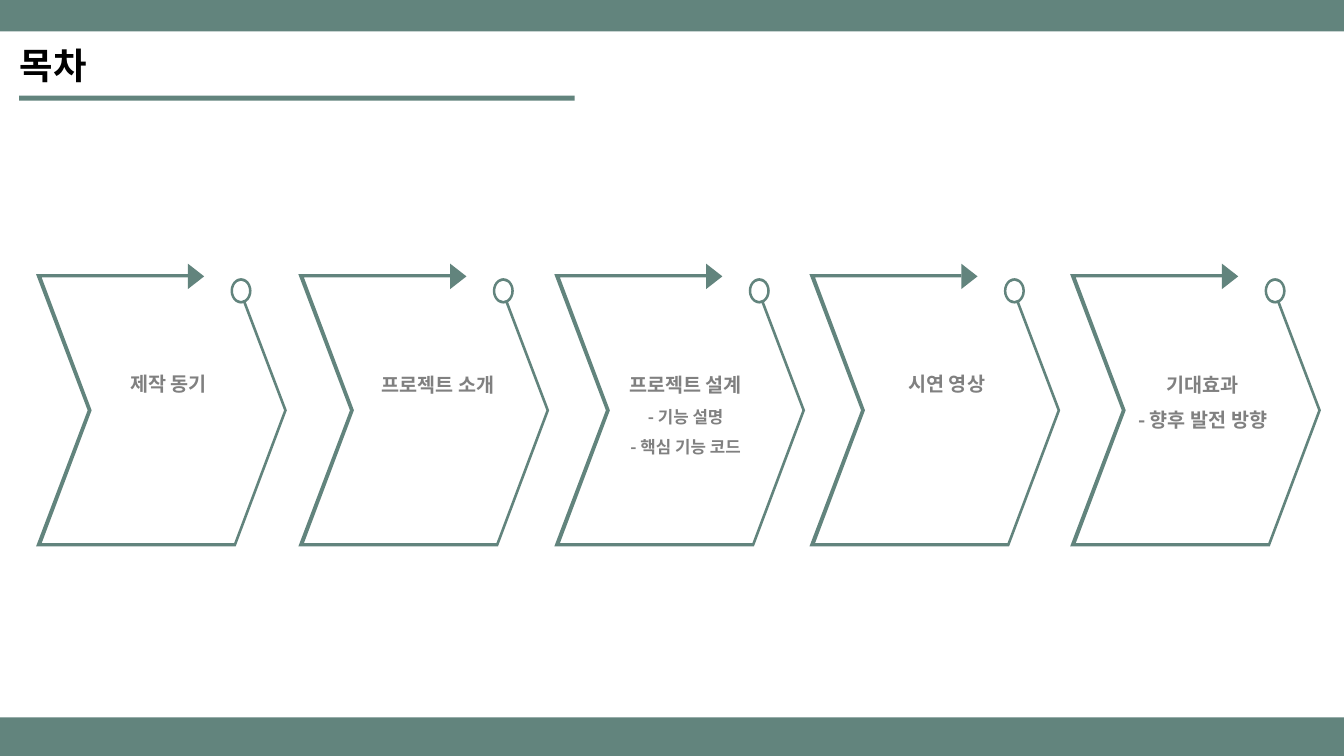
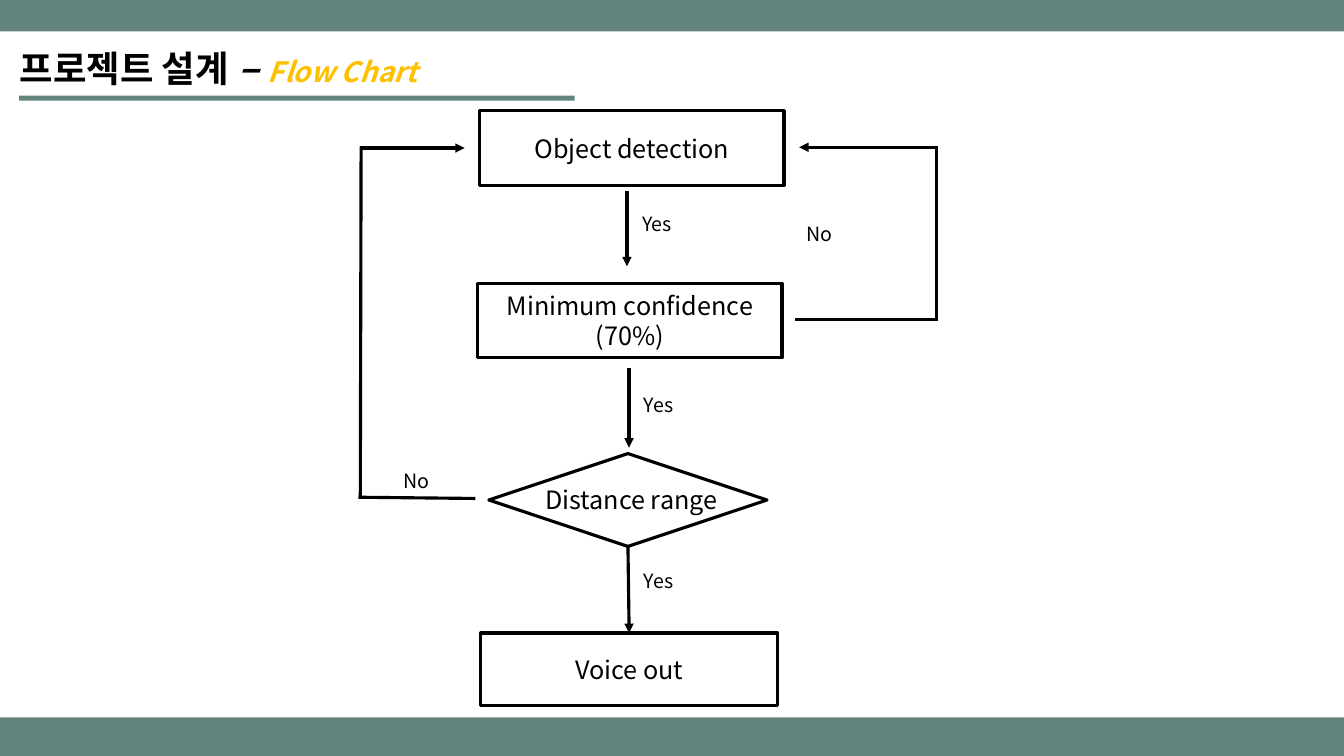
from dataclasses import dataclass
from itertools import pairwise
from typing import Any, NamedTuple

from lxml.etree import SubElement
from pptx import Presentation
from pptx.dml.color import RGBColor
from pptx.enum.shapes import MSO_CONNECTOR, MSO_SHAPE
from pptx.enum.text import MSO_ANCHOR, MSO_AUTO_SIZE, PP_ALIGN
from pptx.oxml.ns import qn
from pptx.util import Cm, Pt


@dataclass(frozen=True)
class Theme:
    font: str = "Noto Sans CJK KR"
    green: RGBColor = RGBColor(0x62, 0x84, 0x7D)
    gray: RGBColor = RGBColor(0x80, 0x80, 0x80)
    black: RGBColor = RGBColor(0, 0, 0)
    amber: RGBColor = RGBColor(0xFF, 0xC0, 0)
    title: int = 26
    dash: int = 28
    subtitle: int = 20
    node: int = 18
    label: int = 14
    detail: int = 12
    line: float = 2.25


class Step(NamedTuple):
    left: float
    text_left: float
    text_top: float
    heading: str
    details: tuple[str, ...] = ()
    detail_size: int = 14


class Node(NamedTuple):
    left: float
    top: float
    width: float
    height: float
    lines: tuple[str, ...] = ()
    kind: MSO_SHAPE = MSO_SHAPE.RECTANGLE


class Label(NamedTuple):
    left: float
    top: float
    text: str
    size: int = 14


T = Theme()
WIDTH, HEIGHT = 33.87, 19.05
STEP_TOP = 6.91
STEP_OUTLINE = (
    (0, 0), (3.83, 0), (3.83, 0.08), (0.14, 0.08), (1.4, 3.43),
    (0.14, 6.78), (4.99, 6.78), (6.25, 3.43), (5.21, 0.69), (5.28, 0.69),
    (6.32, 3.43), (5.03, 6.86), (0, 6.86), (1.3, 3.43),
)
STEPS = (
    Step(0.91, 2.13, 8.94, "제작 동기"),
    Step(7.52, 8.92, 8.97, "프로젝트 소개"),
    Step(13.97, 15.16, 8.97, "프로젝트 설계",
         ("- 기능 설명", "- 핵심 기능 코드"), T.detail),
    Step(20.4, 21.74, 8.94, "시연 영상"),
    Step(26.97, 28.19, 8.97, "기대효과", ("- 향후 발전 방향",)),
)
DETECTION = Node(12.09, 2.79, 7.67, 1.88, ("Object detection",))
CONFIDENCE = Node(12.04, 7.14, 7.67, 1.88, ("Minimum confidence", "(70%)"))
DISTANCE = Node(12.32, 11.43, 7.01, 2.34, kind=MSO_SHAPE.DIAMOND)
VOICE = Node(12.12, 15.95, 7.47, 1.83, ("Voice out",))
LABELS = (
    Label(13.49, 12.07, "Distance range", T.node),
    Label(15.93, 5.21, "Yes"),
    Label(15.98, 9.78, "Yes"),
    Label(15.98, 14.22, "Yes"),
    Label(20.07, 5.46, "No"),
    Label(9.91, 11.68, "No"),
)
ROUTES = (
    ((15.8, 4.85), (15.8, 6.71)),
    ((15.85, 9.32), (15.85, 11.28)),
    ((11.94, 12.56), (9.08, 12.53), (9.1, 3.73), (11.71, 3.73)),
    ((20.07, 8.05), (23.6, 8.05), (23.6, 3.71), (20.14, 3.71)),
)


def write(tf: Any, text: str, *, size: float, color: RGBColor = T.black,
          bold: bool = False, italic: bool = False,
          align: PP_ALIGN = PP_ALIGN.LEFT, spacing: float = 1.0,
          same_line: bool = False) -> None:
    p = tf.paragraphs[-1]
    if p.runs and not same_line:
        p = tf.add_paragraph()
    p.alignment, p.line_spacing = align, spacing
    r = p.add_run()
    r.text = text
    r.font.name, r.font.size = T.font, Pt(size)
    r.font.bold, r.font.italic = bold, italic
    r.font.color.rgb = color
    SubElement(r.font._element, qn("a:ea")).set("typeface", T.font)


def add_text_box(s: Any, left: float, top: float, width: float, height: float) -> Any:
    tf = s.shapes.add_textbox(Cm(left), Cm(top), Cm(width), Cm(height)).text_frame
    tf.word_wrap = True
    tf.auto_size = MSO_AUTO_SIZE.SHAPE_TO_FIT_TEXT
    return tf


def paint(sp: Any) -> Any:
    sp.shadow.inherit = False
    sp.fill.solid()
    sp.fill.fore_color.rgb = T.green
    sp.line.fill.background()
    return sp


def add_solid(shapes: Any, kind: MSO_SHAPE, left: float, top: float,
              width: float, height: float) -> Any:
    return paint(shapes.add_shape(kind, Cm(left), Cm(top), Cm(width), Cm(height)))


def add_slide(prs: Any, title: str) -> tuple[Any, Any]:
    s = prs.slides.add_slide(prs.slide_layouts[6])
    for box in ((0, 0, WIDTH, 0.79), (0, 18.08, WIDTH, 0.97), (0.48, 2.41, 14, 0.13)):
        add_solid(s.shapes, MSO_SHAPE.RECTANGLE, *box)
    tf = add_text_box(s, 0.25, 0.97, 15.19, 1.37)
    write(tf, title, size=T.title, bold=True)
    return s, tf


def add_step(s: Any, step: Step) -> None:
    shapes = s.shapes.add_group_shape().shapes
    points = [(Cm(step.left + x), Cm(STEP_TOP + y)) for x, y in STEP_OUTLINE]
    outline = shapes.build_freeform(*points[0])
    outline.add_line_segments(points[1:], close=True)
    paint(outline.convert_to_shape())
    head = add_solid(shapes, MSO_SHAPE.ISOSCELES_TRIANGLE,
                     step.left + 3.71, STEP_TOP - 0.15, 0.64, 0.41)
    head.rotation = 90
    ring = add_solid(shapes, MSO_SHAPE.DONUT,
                     step.left + 4.9, STEP_TOP + 0.1, 0.53, 0.64)
    ring.adjustments[0] = 0.12
    tf = add_text_box(s, step.text_left, step.text_top, 4.24, 1.04)
    sizes = [T.label] + [step.detail_size] * len(step.details)
    for text, size in zip((step.heading, *step.details), sizes):
        write(tf, text, size=size, color=T.gray, bold=True,
              align=PP_ALIGN.CENTER, spacing=1.5)


def add_node(s: Any, node: Node) -> Any:
    sp = s.shapes.add_shape(node.kind, Cm(node.left), Cm(node.top),
                            Cm(node.width), Cm(node.height))
    sp.shadow.inherit = False
    sp.fill.background()
    sp.line.color.rgb, sp.line.width = T.black, Pt(T.line)
    tf = sp.text_frame
    tf.word_wrap = True
    tf.vertical_anchor = MSO_ANCHOR.MIDDLE
    for text in node.lines:
        write(tf, text, size=T.node, align=PP_ALIGN.CENTER)
    return sp


def add_line(shapes: Any, start: tuple[float, float], end: tuple[float, float],
             arrow: bool) -> Any:
    line = shapes.add_connector(MSO_CONNECTOR.STRAIGHT, *map(Cm, (*start, *end)))
    line.line.color.rgb, line.line.width = T.black, Pt(T.line)
    ln = line.line._get_or_add_ln()
    ln.set("cap", "sq")
    if arrow:
        SubElement(ln, qn("a:tailEnd")).set("type", "triangle")
    SubElement(line._element.spPr, qn("a:effectLst"))
    return line


def add_route(s: Any, points: tuple[tuple[float, float], ...]) -> None:
    shapes = s.shapes if len(points) == 2 else s.shapes.add_group_shape().shapes
    for start, end in pairwise(points):
        add_line(shapes, start, end, arrow=end == points[-1])


def build_contents(prs: Any) -> None:
    s, _ = add_slide(prs, "목차")
    for step in STEPS:
        add_step(s, step)


def build_flow_chart(prs: Any) -> None:
    s, tf = add_slide(prs, "프로젝트 설계 ")
    write(tf, "– ", size=T.dash, bold=True, italic=True, same_line=True)
    write(tf, "Flow Chart", size=T.subtitle, color=T.amber, bold=True,
          italic=True, same_line=True)
    add_node(s, DETECTION)
    add_node(s, CONFIDENCE)
    distance = add_node(s, DISTANCE)
    voice = add_node(s, VOICE)
    for points in ROUTES:
        add_route(s, points)
    line = add_line(s.shapes, (15.82, 13.77), (15.85, 15.95), arrow=True)
    line.begin_connect(distance, 2)
    line.end_connect(voice, 0)
    for label in LABELS:
        tf = add_text_box(s, label.left, label.top, 5.08, 0.86)
        write(tf, label.text, size=label.size)


def main() -> None:
    prs = Presentation()
    prs.slide_width, prs.slide_height = Cm(WIDTH), Cm(HEIGHT)
    build_contents(prs)
    build_flow_chart(prs)
    prs.save("out.pptx")


if __name__ == "__main__":
    main()
